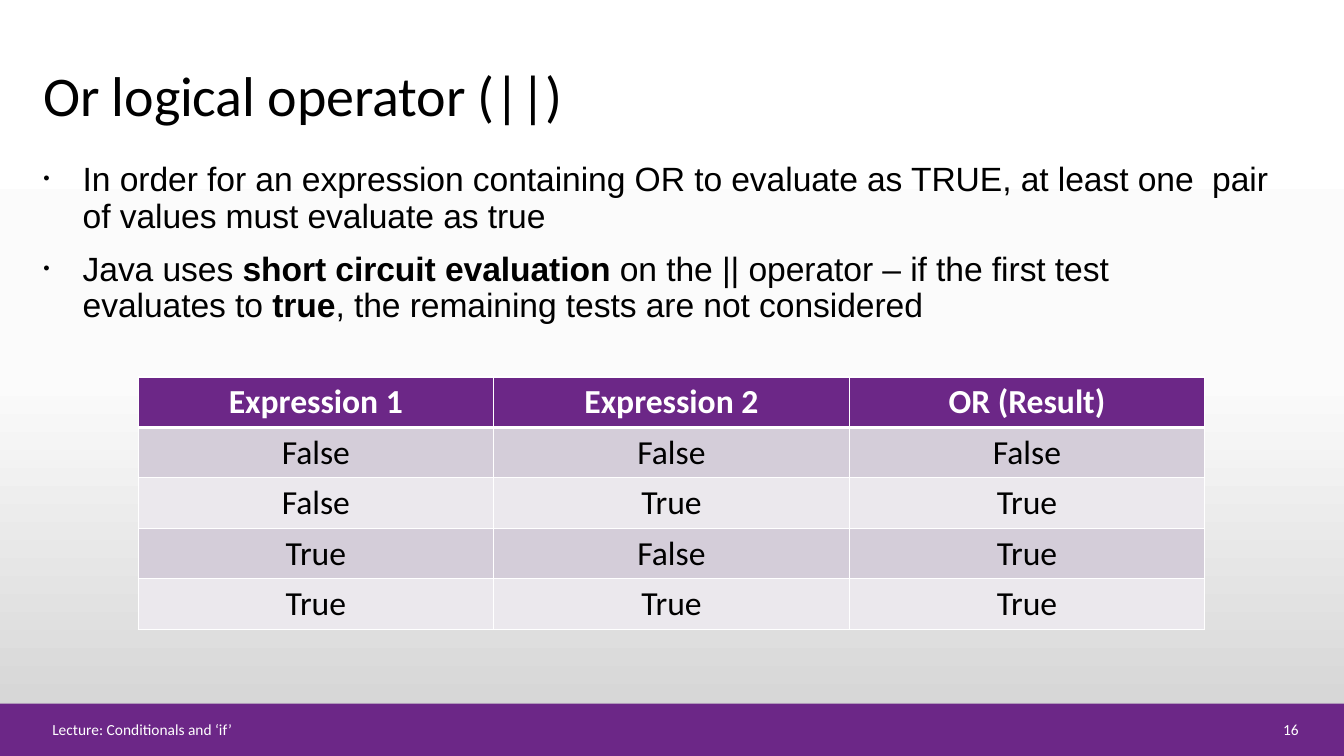
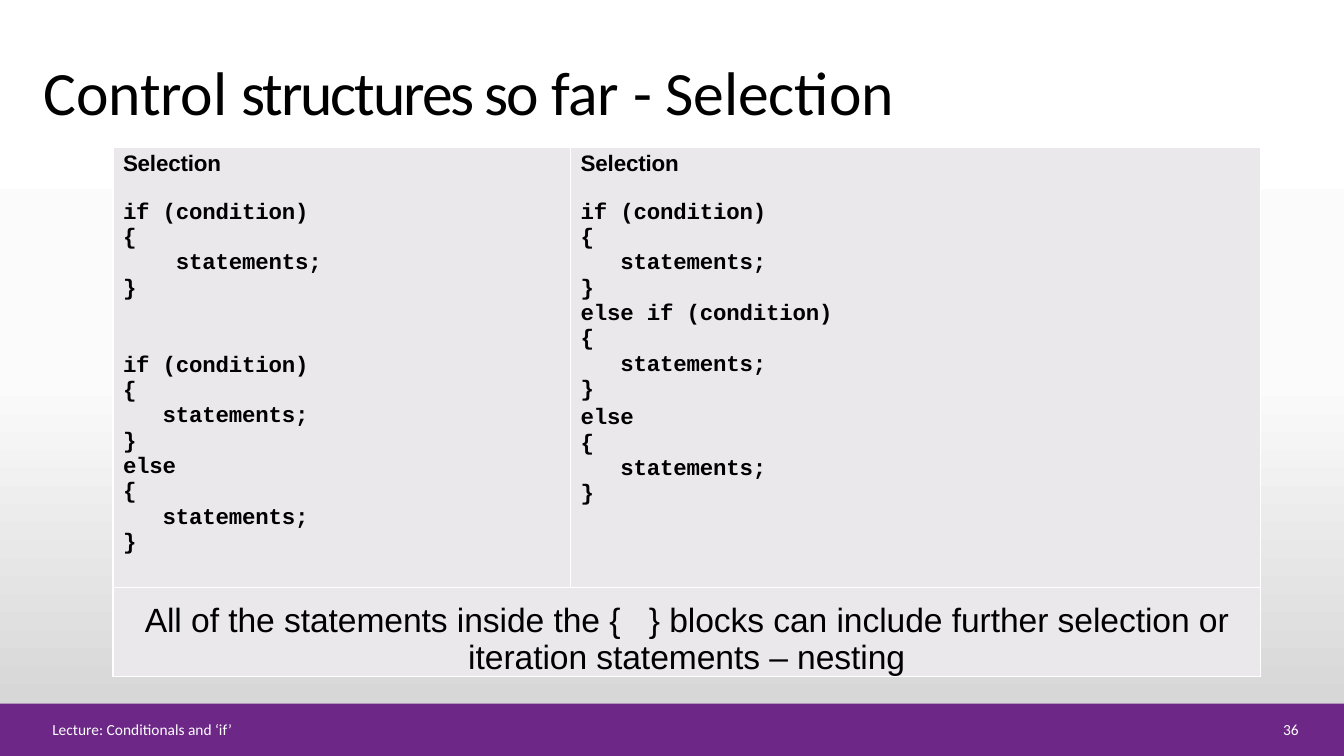
"""Build two lecture slides on Java conditionals."""
import dataclasses
from typing import Optional, Sequence, Union

import lxml.etree
import pptx
import pptx.dml.color
import pptx.enum.shapes
import pptx.enum.text
import pptx.oxml.ns
import pptx.util

Inches = pptx.util.Inches
Pt = pptx.util.Pt
qn = pptx.oxml.ns.qn
Align = pptx.enum.text.PP_ALIGN
Anchor = pptx.enum.text.MSO_ANCHOR


@dataclasses.dataclass(frozen=True)
class Theme:
    purple: str = "6C2787"
    white: str = "FFFFFF"
    black: str = "000000"
    row_dark: str = "D4CDD9"
    row_light: str = "EBE8ED"
    panel: str = "EBE8EC"
    background: tuple = ((0, "FFFFFF"), (50, "FBFBFB"), (100, "D1D1D1"))
    heading_font: str = "Calibri"
    body_font: str = "Arial"
    code_font: str = "Courier New"
    body_size: float = 24
    code_size: float = 16
    footer_size: float = 11
    body_line: float = 25.9


@dataclasses.dataclass(frozen=True)
class Span:
    text: str
    bold: bool = False
    spacing: Optional[float] = None


@dataclasses.dataclass(frozen=True)
class CodeBlock:
    code: str
    gap: float = 0


@dataclasses.dataclass(frozen=True)
class Box:
    left: float
    top: float
    width: float
    height: float

    def lengths(self) -> tuple:
        return tuple(Inches(value) for value in dataclasses.astuple(self))


THEME = Theme()
SLIDE = Box(0, 0, 13.33, 7.5)
BAND = Box(0, 6.98, 13.33, 0.52)
FOOTER = Box(0.42, 7.12, 11.65, 0.23)
NUMBER = Box(12.23, 7.12, 0.75, 0.23)
TITLE = Box(0.42, 0.4, 10.4, 0.87)
BULLETS = Box(0.42, 1.55, 12.49, 1.68)
TRUTH_TABLE = Box(1.37, 3.74, 10.58, 2.5)
CODE_TABLE = Box(1.12, 1.46, 11.38, 5.25)
CODE_COLUMNS = (4.54, 6.84)
CODE_ROWS = (4.37, 0.88)

TRUTH_ROWS = (
    ("Expression 1", "Expression 2", "OR (Result)"),
    ("False", "False", "False"),
    ("False", "True", "True"),
    ("True", "False", "True"),
    ("True", "True", "True"),
)
BULLET_TEXTS = (
    "In order for an expression containing OR to evaluate as TRUE, at least one  pair "
    "of values must evaluate as true",
    (
        Span("Java uses "),
        Span("short circuit evaluation", bold=True),
        Span(" on the || operator – if the first test\vevaluates to "),
        Span("true", bold=True),
        Span(", the remaining tests are not considered"),
    ),
)
ELSE_BLOCK = "else\n{\n   statements;\n}"
IF_BLOCK = "if (condition)\n{\n   statements;\n}"
CODE_CELLS = (
    (
        CodeBlock("if (condition)\n{\n    statements;\n}", 17.5),
        CodeBlock(IF_BLOCK, 36.8),
        CodeBlock(ELSE_BLOCK),
    ),
    (
        CodeBlock(IF_BLOCK, 17.5),
        CodeBlock("else " + IF_BLOCK),
        CodeBlock(ELSE_BLOCK, 2),
    ),
)


def rgb(value: str) -> pptx.dml.color.RGBColor:
    return pptx.dml.color.RGBColor.from_string(value)


def write(
    frame,
    text: Union[str, Sequence[Span]],
    *,
    size: float,
    font: str,
    color: str = THEME.black,
    bold: bool = False,
    align=Align.LEFT,
    spacing: float = 0,
    before: float = 0,
    line: Optional[float] = None,
    bullet: bool = False,
) -> None:
    paragraph = frame.paragraphs[0]
    if paragraph.runs:
        paragraph = frame.add_paragraph()
    paragraph.alignment = align
    if before:
        paragraph.space_before = Pt(before)
    if line:
        paragraph.line_spacing = Pt(line)
    if bullet:
        add_bullet(paragraph)
    for span in (Span(text),) if isinstance(text, str) else text:
        for index, piece in enumerate(span.text.split("\v")):
            if index:
                paragraph.add_line_break()
            run = paragraph.add_run()
            run.text = piece
            run.font.size = Pt(size)
            run.font.name = font
            run.font.bold = bold or span.bold
            run.font.color.rgb = rgb(color)
            points = spacing if span.spacing is None else span.spacing
            run._r.get_or_add_rPr().set("spc", str(round(points * 100)))


def add_bullet(paragraph) -> None:
    properties = paragraph._p.get_or_add_pPr()
    properties.set("marL", str(Inches(0.4)))
    properties.set("indent", str(Inches(-0.39)))
    for tag, name, value in (
        ("a:buSzPct", "val", "54000"),
        ("a:buFont", "typeface", THEME.body_font),
        ("a:buChar", "char", "•"),
    ):
        lxml.etree.SubElement(properties, qn(tag)).set(name, value)


def add_frame(slide, box: Box, *, anchor=Anchor.TOP, margins: Optional[tuple] = None):
    frame = slide.shapes.add_textbox(*box.lengths()).text_frame
    frame.word_wrap = True
    frame.vertical_anchor = anchor
    if margins:
        set_margins(frame, margins)
    return frame


def set_margins(target, margins: tuple) -> None:
    sides = ("left", "top", "right", "bottom")
    for side, margin in zip(sides, margins):
        setattr(target, f"margin_{side}", Inches(margin))


def set_background(master) -> None:
    fill = master.background.fill
    fill.gradient()
    fill.gradient_angle = 270
    stops = master.element.find(".//" + qn("p:bg")).find(".//" + qn("a:gsLst"))
    for stop in list(stops):
        stops.remove(stop)
    for position, color in THEME.background:
        stop = lxml.etree.SubElement(stops, qn("a:gs"), pos=str(position * 1000))
        lxml.etree.SubElement(stop, qn("a:srgbClr"), val=color)


def add_slide(presentation, title: Sequence[Span], title_size: float, number: int):
    slide = presentation.slides.add_slide(presentation.slide_layouts[6])
    band = slide.shapes.add_shape(
        pptx.enum.shapes.MSO_SHAPE.RECTANGLE, *BAND.lengths()
    )
    band.shadow.inherit = False
    band.fill.solid()
    band.fill.fore_color.rgb = rgb(THEME.purple)
    band.line.fill.background()
    frame = add_frame(slide, TITLE, anchor=Anchor.BOTTOM, margins=(0.01, 0.01, 0, 0))
    write(frame, title, size=title_size, font=THEME.heading_font, spacing=-0.1)
    for box, text, align in (
        (FOOTER, "Lecture: Conditionals and ‘if’", Align.LEFT),
        (NUMBER, str(number), Align.RIGHT),
    ):
        write(
            add_frame(slide, box, anchor=Anchor.MIDDLE),
            text,
            size=THEME.footer_size,
            font=THEME.heading_font,
            color=THEME.white,
            align=align,
        )
    return slide


def add_grid(slide, box: Box, widths: Sequence[float], heights: Sequence[float]):
    table = slide.shapes.add_table(len(heights), len(widths), *box.lengths()).table
    table.first_row = False
    table.horz_banding = False
    for column, width in zip(table.columns, widths):
        column.width = Inches(width)
    for row, height in zip(table.rows, heights):
        row.height = Inches(height)
    return table


def style_cell(cell, fill: str, *, top: float = 1, bottom: float = 1) -> None:
    properties = cell._tc.get_or_add_tcPr()
    for side, width in (("L", 1), ("R", 1), ("T", top), ("B", bottom)):
        border = lxml.etree.SubElement(properties, qn(f"a:ln{side}"), w=str(Pt(width)))
        solid = lxml.etree.SubElement(border, qn("a:solidFill"))
        lxml.etree.SubElement(solid, qn("a:srgbClr"), val=THEME.white)
    cell.fill.solid()
    cell.fill.fore_color.rgb = rgb(fill)


def build_or_slide(presentation) -> None:
    title = (Span("Or logical "), Span("o", spacing=-1.5), Span("perator (||)"))
    slide = add_slide(presentation, title, 40, 16)
    frame = add_frame(slide, BULLETS, margins=(0, 0.06, 0, 0))
    for index, text in enumerate(BULLET_TEXTS):
        write(frame, text, size=THEME.body_size, font=THEME.body_font, spacing=-0.05,
              before=12.1 if index else 0, line=THEME.body_line, bullet=True)
    columns, rows = len(TRUTH_ROWS[0]), len(TRUTH_ROWS)
    table = add_grid(slide, TRUTH_TABLE, [TRUTH_TABLE.width / columns] * columns,
                     [TRUTH_TABLE.height / rows] * rows)
    for row, values in enumerate(TRUTH_ROWS):
        header = row == 0
        fill = THEME.row_dark if row % 2 else THEME.row_light
        for column, value in enumerate(values):
            cell = table.cell(row, column)
            style_cell(cell, THEME.purple if header else fill,
                       top=3 if row == 1 else 1, bottom=3 if header else 1)
            write(cell.text_frame, value, size=THEME.body_size, font=THEME.heading_font,
                  color=THEME.white if header else THEME.black, bold=header,
                  align=Align.CENTER)


def build_selection_slide(presentation) -> None:
    title = (Span("Control "), Span("structures so ", spacing=-1.5), Span("far - Selection"))
    slide = add_slide(presentation, title, 44, 36)
    table = add_grid(slide, CODE_TABLE, CODE_COLUMNS, CODE_ROWS)
    for column, blocks in enumerate(CODE_CELLS):
        cell = table.cell(0, column)
        style_cell(cell, THEME.panel)
        set_margins(cell, (0.1, 0.04, 0, 0))
        write(cell.text_frame, "Selection", size=THEME.code_size, font=THEME.body_font,
              bold=True, spacing=-0.1)
        for block in blocks:
            for index, code in enumerate(block.code.split("\n")):
                write(cell.text_frame, code, size=THEME.code_size, font=THEME.code_font,
                      bold=True, spacing=-0.1, before=0 if index else block.gap)
    note = table.cell(1, 0)
    note.merge(table.cell(1, 1))
    for column in range(len(CODE_COLUMNS)):
        style_cell(table.cell(1, column), THEME.panel)
    set_margins(note, (0, 0.16, 0, 0))
    write(
        note.text_frame,
        "All of the statements inside the {\t} blocks can include further selection or "
        "iteration statements – nesting",
        size=THEME.body_size,
        font=THEME.body_font,
        align=Align.CENTER,
        spacing=-0.05,
        line=THEME.body_line,
    )


def main() -> None:
    presentation = pptx.Presentation()
    presentation.slide_width = Inches(SLIDE.width)
    presentation.slide_height = Inches(SLIDE.height)
    set_background(presentation.slide_master)
    build_or_slide(presentation)
    build_selection_slide(presentation)
    presentation.save("out.pptx")


if __name__ == "__main__":
    main()
